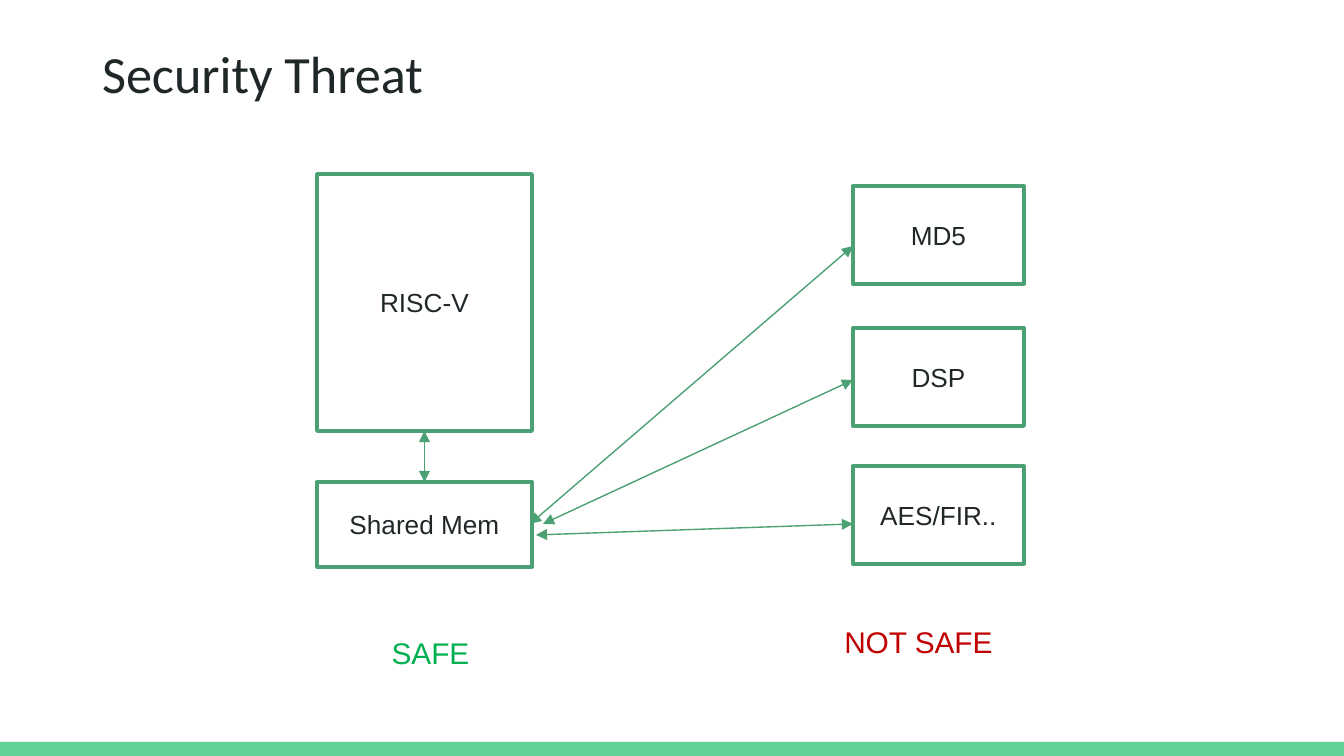
from pptx import Presentation
from pptx.dml.color import RGBColor
from pptx.enum.shapes import MSO_CONNECTOR, MSO_SHAPE
from pptx.enum.text import MSO_ANCHOR, MSO_AUTO_SIZE, PP_ALIGN
from pptx.oxml.ns import qn
from pptx.util import Pt
from lxml.etree import SubElement

PX = 914400 / 134.4
COLORS = {"ink": "202729", "edge": "4BA173", "bar": "63D297",
          "paper": "FFFFFF", "safe": "00B050", "risk": "C00000"}

TITLE = "Security Threat"
HOST = [("RISC-V", 174, 257), ("Shared Mem", 482, 85)]
UNITS = [("MD5", 186), ("DSP", 328), ("AES/FIR..", 466)]
LINKS = [(530, 524, 246), (543, 524, 380), (536, 535, 524)]
LABELS = [("SAFE", 310, 628, "safe"), ("NOT SAFE", 798, 617, "risk")]
HOST_X, HOST_W = 317, 215
UNIT_X, UNIT_W, UNIT_H = 853, 171, 98


def px(*nums):
    return [round(n * PX) for n in nums]


def color(name):
    return RGBColor.from_string(COLORS[name])


def write(shape, text, size, ink, font="Arial", align=PP_ALIGN.CENTER):
    frame = shape.text_frame
    frame.word_wrap = True
    frame.text = text
    para = frame.paragraphs[0]
    para.alignment = align
    para.font.size = Pt(size)
    para.font.name = font
    para.font.color.rgb = color(ink)
    return frame


def rect(x, y, w, h, fill):
    shape = slide.shapes.add_shape(MSO_SHAPE.RECTANGLE, *px(x, y, w, h))
    shape.shadow.inherit = False
    shape.fill.solid()
    shape.fill.fore_color.rgb = color(fill)
    shape.line.fill.background()
    return shape


def box(text, x, y, w, h):
    shape = rect(x, y, w, h, "paper")
    shape.line.color.rgb = color("edge")
    shape.line.width = Pt(2)
    write(shape, text, 14, "ink").vertical_anchor = MSO_ANCHOR.MIDDLE
    return shape


def arrow(*ends):
    line = slide.shapes.add_connector(MSO_CONNECTOR.STRAIGHT, *px(*ends))
    line.line.color.rgb = color("edge")
    line.line.width = Pt(0.75)
    ln = line.line._get_or_add_ln()
    for tag in ("a:headEnd", "a:tailEnd"):
        SubElement(ln, qn(tag), type="triangle")
    SubElement(line._element.spPr, qn("a:effectLst"))
    return line


deck = Presentation()
deck.slide_width, deck.slide_height = px(1344, 756)
slide = deck.slides.add_slide(deck.slide_layouts[5])

rect(0, 742, 1344, 14, "bar")

title = slide.shapes.title
title.left, title.top, title.width, title.height = px(81, 28, 430, 85)
frame = write(title, TITLE, 28, "ink", "Calibri", PP_ALIGN.LEFT)
frame.auto_size = MSO_AUTO_SIZE.NONE
frame.vertical_anchor = MSO_ANCHOR.TOP
frame.margin_left, frame.margin_top = px(21, 13)

core, mem = [box(text, HOST_X, y, HOST_W, h) for text, y, h in HOST]
bus = arrow(0, 0, 0, 0)
bus.begin_connect(core, 2)
bus.end_connect(mem, 0)

for text, y in UNITS:
    box(text, UNIT_X, y, UNIT_W, UNIT_H)
for x, start, end in LINKS:
    arrow(x, start, UNIT_X, end)

for text, x, y, ink in LABELS:
    label = slide.shapes.add_textbox(*px(x, y, 241, 50))
    write(label, text, 16, ink)

deck.save("out.pptx")
